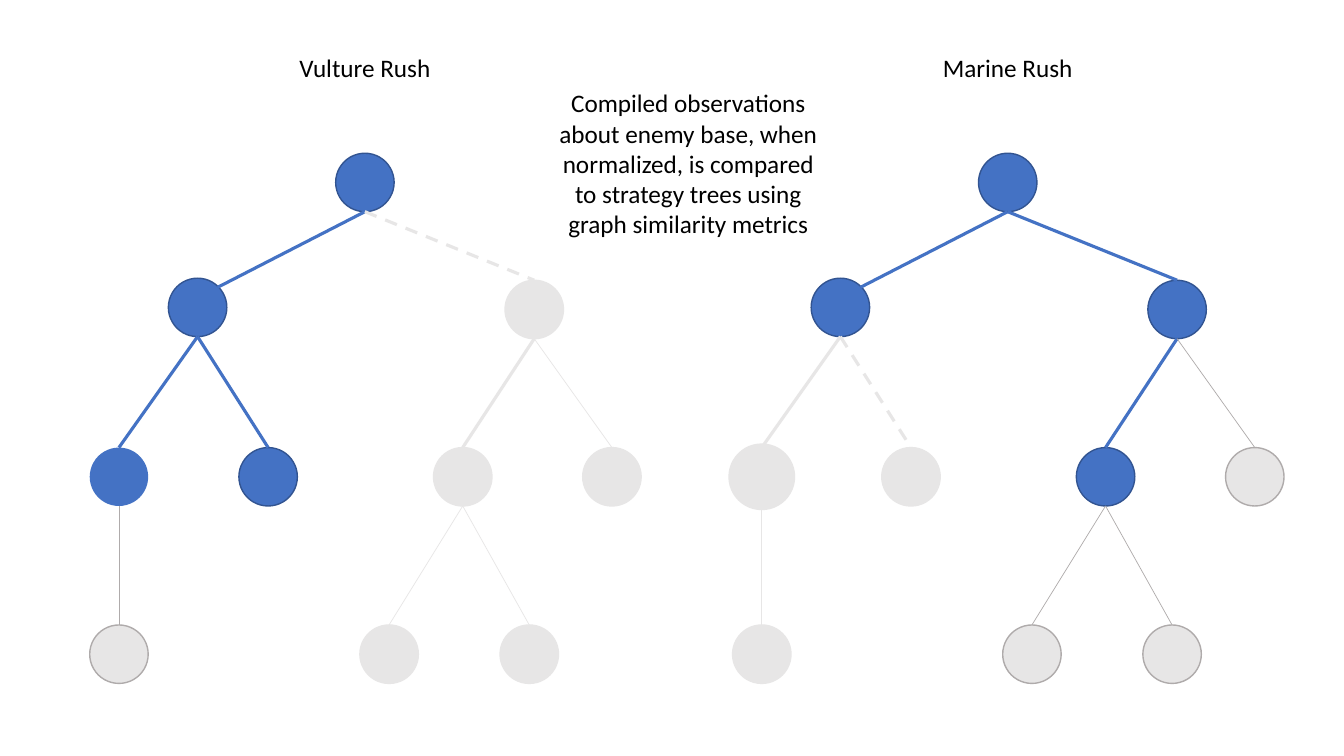
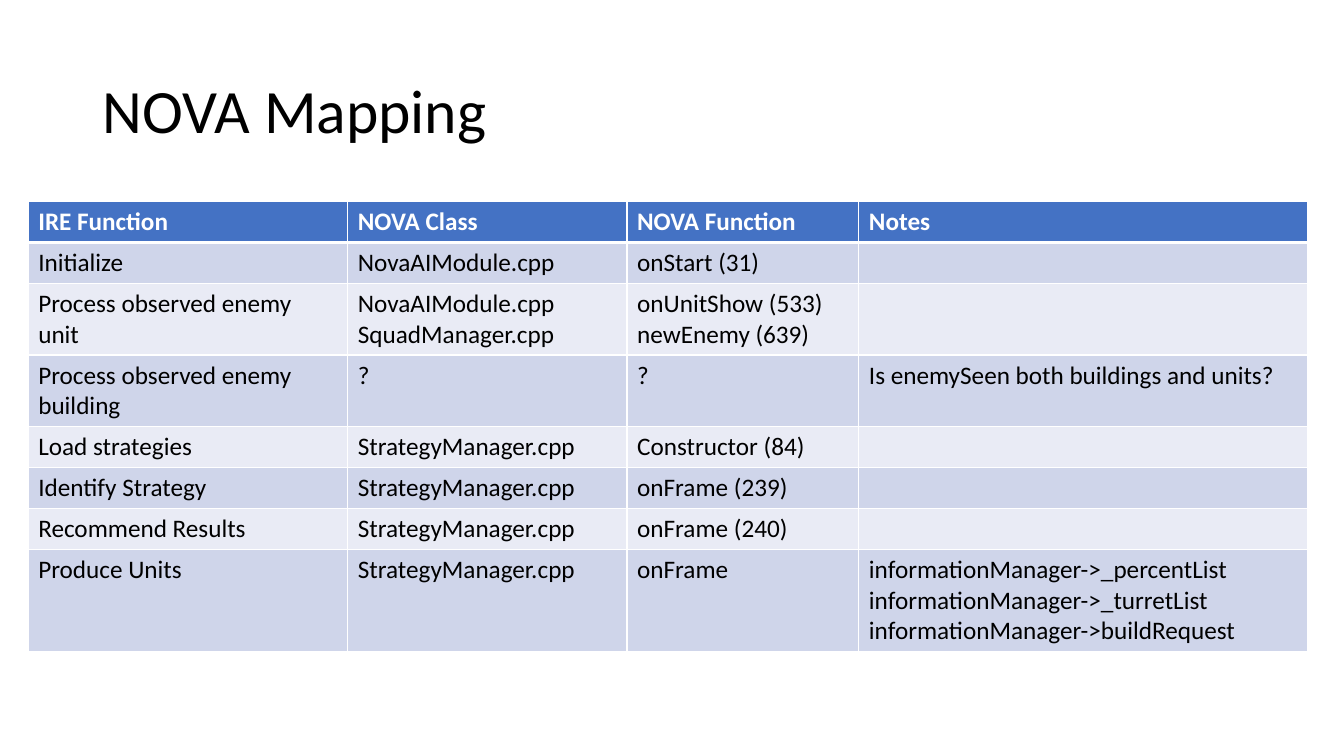
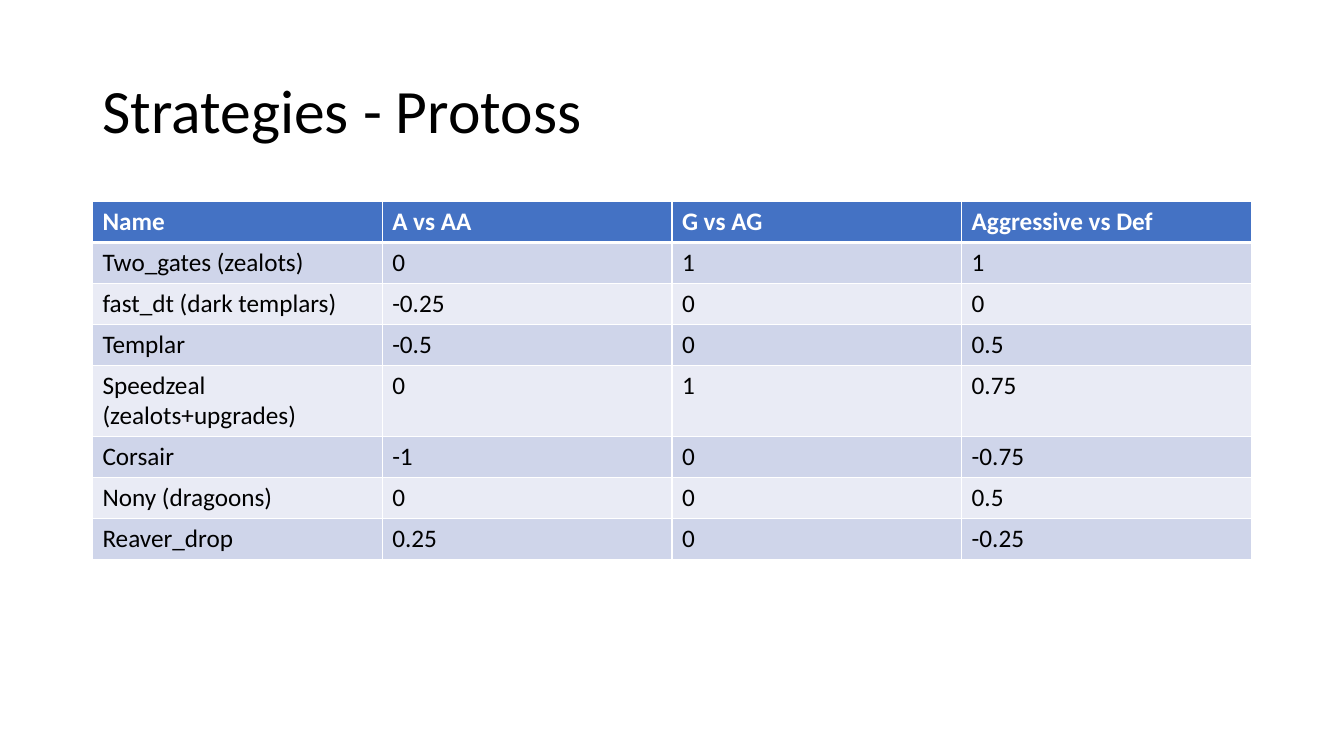
import pptx
import pptx.util
import pptx.dml.color
import pptx.enum.dml
import pptx.enum.shapes
import pptx.enum.text
import pptx.oxml
import pptx.oxml.ns

RGB = pptx.dml.color.RGBColor
Pt = pptx.util.Pt
ALIGN = pptx.enum.text.PP_ALIGN
BLACK = RGB(0x00, 0x00, 0x00)
WHITE = RGB(0xFF, 0xFF, 0xFF)
BLUE = RGB(0x44, 0x72, 0xC4)
NAVY = RGB(0x32, 0x54, 0x91)
PALE = RGB(0xE7, 0xE6, 0xE6)
GRAY = RGB(0xAF, 0xAB, 0xAB)
BANDS = RGB(0xE9, 0xEB, 0xF5), RGB(0xCF, 0xD5, 0xEA)

# A node is named by the turns that lead to it; "" is the root.
# Centre and top are percentages of the slide's width and height.
SPOTS = {
    "": (27.15, 20.27),
    "L": (14.7, 36.8), "R": (39.75, 37.07),
    "LL": (8.85, 59.2), "LR": (19.95, 59.2),
    "RL": (34.43, 59.2), "RR": (45.53, 59.2),
    "LLL": (8.85, 82.67), "RLL": (28.95, 82.67), "RLR": (39.38, 82.67),
}
SHIFT = 47.83
WIDE, HIGH = 4.35, 7.73

# Node styles: fill, outline, outline width
HIT = BLUE, NAVY, 1
BARE = BLUE, None, 0
MISS = PALE, PALE, 1
HEAVY = PALE, PALE, 6
OPEN = PALE, GRAY, 1

# Edge styles: colour, width, dashed
MATCH = BLUE, 2.25, False
FADED = PALE, 2.25, False
BREAK = PALE, 2.25, True
FAINT = PALE, 0.5, False
THIN = GRAY, 0.5, False

# Each node with its style and that of the edge from its parent
VULTURE = {
    "": (HIT, None), "L": (HIT, MATCH), "R": (MISS, BREAK),
    "LL": (BARE, MATCH), "LR": (HIT, MATCH),
    "RL": (MISS, FADED), "RR": (MISS, FAINT),
    "LLL": (OPEN, THIN), "RLL": (MISS, FAINT), "RLR": (MISS, FAINT),
}
MARINE = {
    "": (HIT, None), "L": (HIT, MATCH), "R": (HIT, MATCH),
    "LL": (HEAVY, FADED), "LR": (MISS, BREAK),
    "RL": (HIT, MATCH), "RR": (OPEN, THIN),
    "LLL": (MISS, FAINT), "RLL": (OPEN, THIN), "RLR": (OPEN, THIN),
}

MAPPING = [
    ["IRE Function", "NOVA Class", "NOVA Function", "Notes"],
    ["Initialize", "NovaAIModule.cpp", "onStart (31)", ""],
    ["Process observed enemy unit", "NovaAIModule.cpp\nSquadManager.cpp",
     "onUnitShow (533)\nnewEnemy (639)", ""],
    ["Process observed enemy building", "?", "?",
     "Is enemySeen both buildings and units?"],
    ["Load strategies", "StrategyManager.cpp", "Constructor (84)", ""],
    ["Identify Strategy", "StrategyManager.cpp", "onFrame (239)", ""],
    ["Recommend Results", "StrategyManager.cpp", "onFrame (240)", ""],
    ["Produce Units", "StrategyManager.cpp", "onFrame",
     "informationManager->_percentList\ninformationManager->_turretList\n"
     "informationManager->buildRequest"],
]
PROTOSS = [
    ["Name", "A vs AA", "G vs AG", "Aggressive vs Def"],
    ["Two_gates (zealots)", "0", "1", "1"],
    ["fast_dt (dark templars)", "-0.25", "0", "0"],
    ["Templar", "-0.5", "0", "0.5"],
    ["Speedzeal (zealots+upgrades)", "0", "1", "0.75"],
    ["Corsair", "-1", "0", "-0.75"],
    ["Nony (dragoons)", "0", "0", "0.5"],
    ["Reaver_drop", "0.25", "0", "-0.25"],
]


class Deck:
    """Holds the style and the current slide; lengths are slide percentages."""
    font = "Calibri"
    row = 5.41

    def __init__(self):
        self.show = pptx.Presentation()
        self.show.slide_width = pptx.util.Inches(13.33)
        self.show.slide_height = pptx.util.Inches(7.5)

    def across(self, share):
        return round(self.show.slide_width * share / 100)

    def down(self, share):
        return round(self.show.slide_height * share / 100)

    def area(self, x, y, w, h):
        return self.across(x), self.down(y), self.across(w), self.down(h)

    def page(self, title=None):
        layout = self.show.slide_layouts[5 if title else 6]
        self.slide = self.show.slides.add_slide(layout)
        if title:
            head = self.slide.shapes.title
            head.left, head.top, head.width, head.height = self.area(
                6.88, 5.33, 86.25, 19.33)
            frame = head.text_frame
            frame.vertical_anchor = pptx.enum.text.MSO_ANCHOR.MIDDLE
            self.letter(frame, title, 44)
            frame.paragraphs[0].line_spacing = 0.9

    def letter(self, frame, text, size=18, color=BLACK, bold=False,
               align=ALIGN.LEFT):
        """Set the text of a frame and format its runs."""
        frame.text = text
        for para in frame.paragraphs:
            para.alignment = align
            for run in para.runs:
                font = run.font
                font.name, font.size, font.bold = self.font, Pt(size), bold
                font.color.rgb = color

    def label(self, text, box, wrap=False):
        frame = self.slide.shapes.add_textbox(*self.area(*box)).text_frame
        frame.word_wrap = wrap
        self.letter(frame, text, align=ALIGN.CENTER)

    def node(self, x, y, style):
        fill, line, width = style
        dot = self.slide.shapes.add_shape(
            pptx.enum.shapes.MSO_SHAPE.OVAL,
            *self.area(x - WIDE / 2, y, WIDE, HIGH))
        dot.shadow.inherit = False
        dot.fill.solid()
        dot.fill.fore_color.rgb = fill
        if line is None:
            dot.line.fill.background()
        else:
            dot.line.color.rgb = line
            dot.line.width = Pt(width)

    def edge(self, start, end, style):
        color, width, dashed = style
        link = self.slide.shapes.add_connector(
            pptx.enum.shapes.MSO_CONNECTOR.STRAIGHT,
            *self.area(*start, *end))
        link.line.color.rgb = color
        link.line.width = Pt(width)
        if dashed:
            link.line.dash_style = pptx.enum.dml.MSO_LINE.DASH
        link._element.spPr.append(pptx.oxml.parse_xml(
            "<a:effectLst %s/>" % pptx.oxml.ns.nsdecls("a")))

    def tree(self, name, nodes, shift=0):
        spots = {key: (x + shift, y) for key, (x, y) in SPOTS.items()}
        self.label(name, (spots[""][0] - 5.7, 6.27, 11.4, 5.33))
        for key, (dot, link) in nodes.items():
            x, y = spots[key]
            self.node(x, y, dot)
            if link:
                over, top = spots[key[:-1]]
                # The first left branch meets its node at the upper right.
                end = (x + 1.5, y + 1.2) if key == "L" else (x, y)
                self.edge((over, top + HIGH), end, link)

    def rule(self, cell, side, width):
        cell._tc.get_or_add_tcPr().append(pptx.oxml.parse_xml(
            '<a:ln%s %s w="%d"><a:solidFill><a:srgbClr val="%s"/>'
            "</a:solidFill></a:ln%s>" % (
                side, pptx.oxml.ns.nsdecls("a"), Pt(width), WHITE, side)))

    def table(self, rows, x, cols):
        grid = self.slide.shapes.add_table(
            len(rows), len(cols),
            *self.area(x, 26.67, sum(cols), self.row * len(rows))).table
        for col, width in zip(grid.columns, cols):
            col.width = self.across(width)
        for r, texts in enumerate(rows):
            head = r == 0
            grid.rows[r].height = self.down(self.row)
            for c, text in enumerate(texts):
                cell = grid.cell(r, c)
                self.letter(cell.text_frame, text,
                            color=WHITE if head else BLACK, bold=head)
                for side in "LRTB":
                    thick = (r, side) in ((0, "B"), (1, "T"))
                    self.rule(cell, side, 3 if thick else 1)
                cell.fill.solid()
                cell.fill.fore_color.rgb = BLUE if head else BANDS[r % 2]


def main():
    deck = Deck()
    deck.page()
    deck.tree("Vulture Rush", VULTURE)
    deck.tree("Marine Rush", MARINE, SHIFT)
    deck.label("Compiled observations about enemy base, when normalized, "
               "is compared to strategy trees using graph similarity metrics",
               (40.6, 10.93, 21.23, 21.6), wrap=True)

    deck.page("NOVA Mapping")
    deck.table(MAPPING, 2.1, [23.78, 20.78, 17.25, 33.38])

    deck.page("Strategies - Protoss")
    deck.table(PROTOSS, 6.88, [21.56] * 4)
    deck.show.save("out.pptx")


if __name__ == "__main__":
    main()
